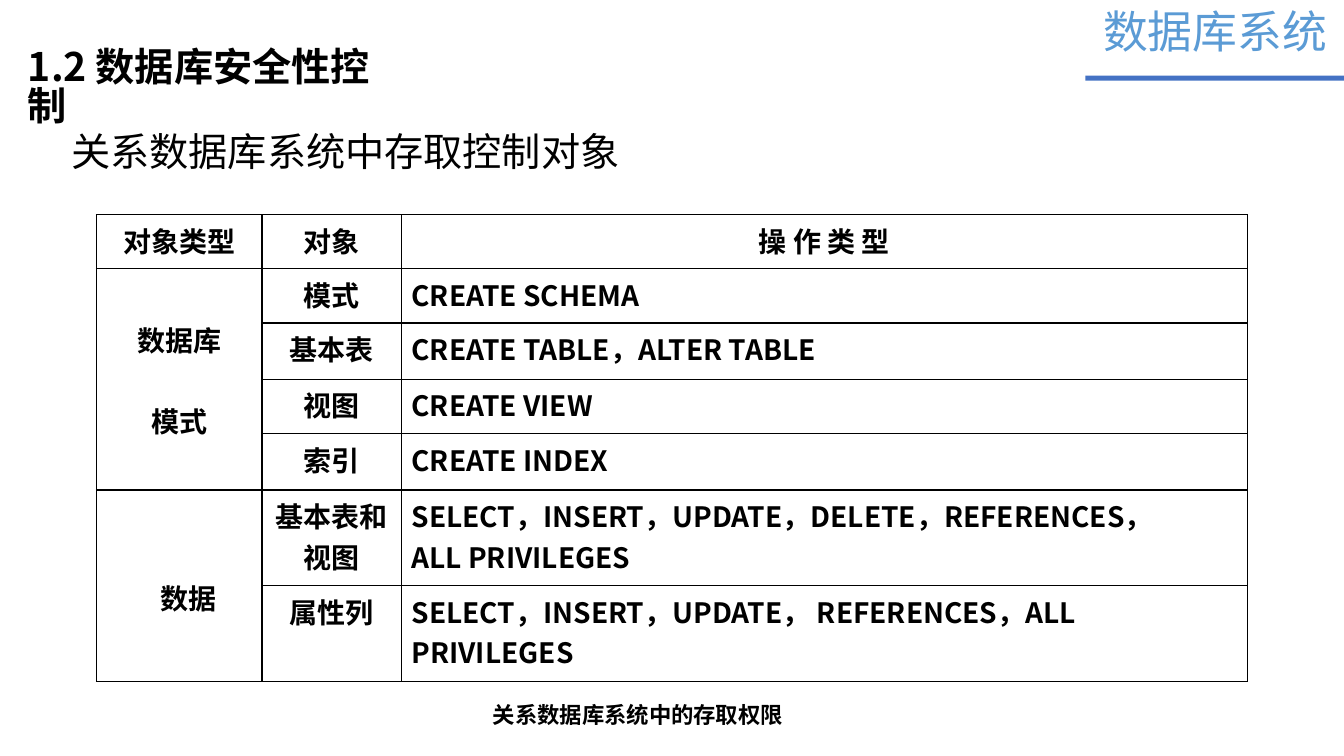
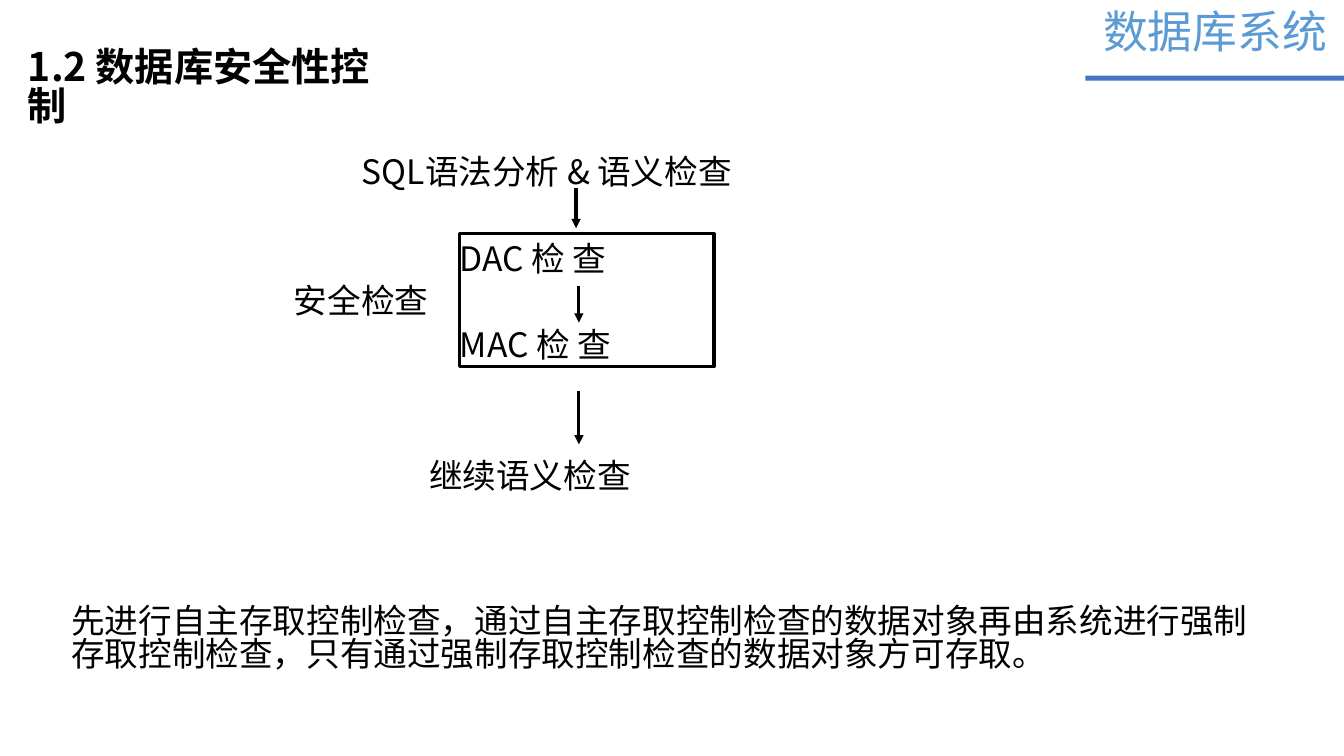
"""Builds two database security slides: access control objects and the check sequence."""
from lxml.etree import SubElement
from pptx import Presentation
from pptx.dml.color import RGBColor
from pptx.enum.shapes import MSO_CONNECTOR, MSO_SHAPE
from pptx.enum.text import MSO_ANCHOR, PP_ALIGN
from pptx.oxml.ns import qn
from pptx.util import Pt

COLORS = {"text": "000000", "brand": "5B9BD5", "rule": "4472C4"}
CJK = "Noto Sans CJK SC"
SERIF = "Times New Roman"
TIGHT = 0.84

COURSE = "数据库系统"
TITLE = "1.2 数据库安全性控制"
SUBTITLE = "关系数据库系统中存取控制对象"
CAPTION = "关系数据库系统中的存取权限"
HEADINGS = ("对象类型", "对象", "操 作 类 型")
PRIVILEGES = [
    ("数据库\n模式", [
        ("模式", "CREATE SCHEMA"),
        ("基本表", "CREATE TABLE，ALTER TABLE"),
        ("视图", "CREATE VIEW"),
        ("索引", "CREATE INDEX"),
    ]),
    ("数据", [
        ("基本表和视图", "SELECT，INSERT，UPDATE，DELETE，REFERENCES，\nALL PRIVILEGES"),
        ("属性列", "SELECT，INSERT，UPDATE， REFERENCES，ALL PRIVILEGES"),
    ]),
]
COLUMN_WIDTHS = (118.2, 99.6, 604.2)
ROW_HEIGHTS = (38.7, 38.7, 40.3, 38.7, 40.3, 68.4, 68.4)

CHECKS = [
    ("SQL语法分析 & 语义检查", 258.5, 122),
    ("DAC 检 查", 328.5, 184),
    ("安全检查", 210, 214.5),
    ("MAC 检 查", 328.5, 246),
    ("继续语义检查", 306.5, 339),
]
ARROWS = [(411.5, 134, 163), (413.5, 204, 230.5), (413.5, 279.5, 317.5)]
SUMMARY = ("先进行自主存取控制检查，通过自主存取控制检查的数据对象再由系统进行强制存取控制检查，"
           "只有通过强制存取控制检查的数据对象方可存取。")


def color(name):
    return RGBColor.from_string(COLORS[name])


def style(paragraph, size, bold=False, tone="text", face=CJK):
    font = paragraph.font
    font.size, font.bold, font.name = Pt(size), bold, face
    font.color.rgb = color(tone)
    for run in paragraph.runs:
        SubElement(run._r.get_or_add_rPr(), qn("a:ea")).set("typeface", CJK)


def add_text(slide, text, left, middle, width, size, height=40, spacing=1, **look):
    """Place text starting at left and vertically centred on middle."""
    frame = slide.shapes.add_textbox(
        Pt(left), Pt(middle - height / 2), Pt(width), Pt(height)).text_frame
    frame.margin_left = frame.margin_right = frame.margin_top = frame.margin_bottom = 0
    frame.word_wrap = True
    frame.vertical_anchor = MSO_ANCHOR.MIDDLE
    paragraph = frame.paragraphs[0]
    paragraph.text = text
    paragraph.line_spacing = spacing
    style(paragraph, size, **look)


def add_box(slide, left, top, width, height):
    box = slide.shapes.add_shape(
        MSO_SHAPE.RECTANGLE, Pt(left), Pt(top), Pt(width), Pt(height))
    box.shadow.inherit = False
    return box


def add_arrow(slide, x, top, bottom):
    arrow = slide.shapes.add_connector(
        MSO_CONNECTOR.STRAIGHT, Pt(x), Pt(top), Pt(x), Pt(bottom))
    arrow.line.color.rgb = color("text")
    arrow.line.width = Pt(2.25)
    SubElement(arrow.line._get_or_add_ln(), qn("a:tailEnd")).set("type", "triangle")
    SubElement(arrow._element.spPr, qn("a:effectLst"))


def add_slide(deck):
    slide = deck.slides.add_slide(deck.slide_layouts[6])
    rule = add_box(slide, 775.4, 54, 184.6, 3.6)
    rule.fill.solid()
    rule.fill.fore_color.rgb = color("rule")
    rule.line.fill.background()
    add_text(slide, COURSE, 788, 21.8, 170, 32, height=43.6, tone="brand")
    add_text(slide, TITLE, 20, 63.8, 268, 28, height=68, spacing=TIGHT, bold=True)
    return slide


def add_borders(cell):
    properties = cell._tc.get_or_add_tcPr()
    for side in ("lnL", "lnR", "lnT", "lnB"):
        line = SubElement(properties, qn(f"a:{side}"), w=str(Pt(1)))
        fill = SubElement(line, qn("a:solidFill"))
        SubElement(fill, qn("a:srgbClr")).set("val", COLORS["text"])


def fill_cell(cell, text, centered=True):
    cell.text = text
    for paragraph in cell.text_frame.paragraphs:
        paragraph.alignment = PP_ALIGN.CENTER if centered else PP_ALIGN.LEFT
        style(paragraph, 20, bold=True)


def add_privileges(slide):
    table = slide.shapes.add_table(
        len(ROW_HEIGHTS), len(COLUMN_WIDTHS), Pt(69), Pt(153.3),
        Pt(sum(COLUMN_WIDTHS)), Pt(sum(ROW_HEIGHTS))).table
    table.first_row = table.horz_banding = False
    for column, width in zip(table.columns, COLUMN_WIDTHS):
        column.width = Pt(width)
    for row, height in zip(table.rows, ROW_HEIGHTS):
        row.height = Pt(height)
    for cell in table.iter_cells():
        add_borders(cell)
        cell.fill.background()

    for column, heading in enumerate(HEADINGS):
        fill_cell(table.cell(0, column), heading)
    first = 1
    for kind, entries in PRIVILEGES:
        group = table.cell(first, 0)
        group.merge(table.cell(first + len(entries) - 1, 0))
        fill_cell(group, kind)
        group.vertical_anchor = MSO_ANCHOR.MIDDLE
        for paragraph in group.text_frame.paragraphs[1:]:
            paragraph.space_before = Pt(29)
        for row, (item, operations) in enumerate(entries, first):
            fill_cell(table.cell(row, 1), item)
            fill_cell(table.cell(row, 2), operations, centered=False)
        first += len(entries)
    group.margin_left, group.margin_top = Pt(20), Pt(20)


def main():
    deck = Presentation()
    deck.slide_width, deck.slide_height = Pt(960), Pt(540)

    objects = add_slide(deck)
    add_text(objects, SUBTITLE, 51, 107.4, 440, 28)
    add_privileges(objects)
    add_text(objects, CAPTION, 352, 510.5, 229, 16, height=26, bold=True, face=SERIF)

    sequence = add_slide(deck)
    for text, left, middle in CHECKS:
        add_text(sequence, text, left, middle, 320, 24)
    security = add_box(sequence, 328.5, 167, 181.5, 95)
    security.fill.background()
    security.line.color.rgb = color("text")
    security.line.width = Pt(2.25)
    for arrow in ARROWS:
        add_arrow(sequence, *arrow)
    add_text(sequence, SUMMARY, 51, 457, 852, 24, height=60, spacing=TIGHT)

    deck.save("out.pptx")


if __name__ == "__main__":
    main()
